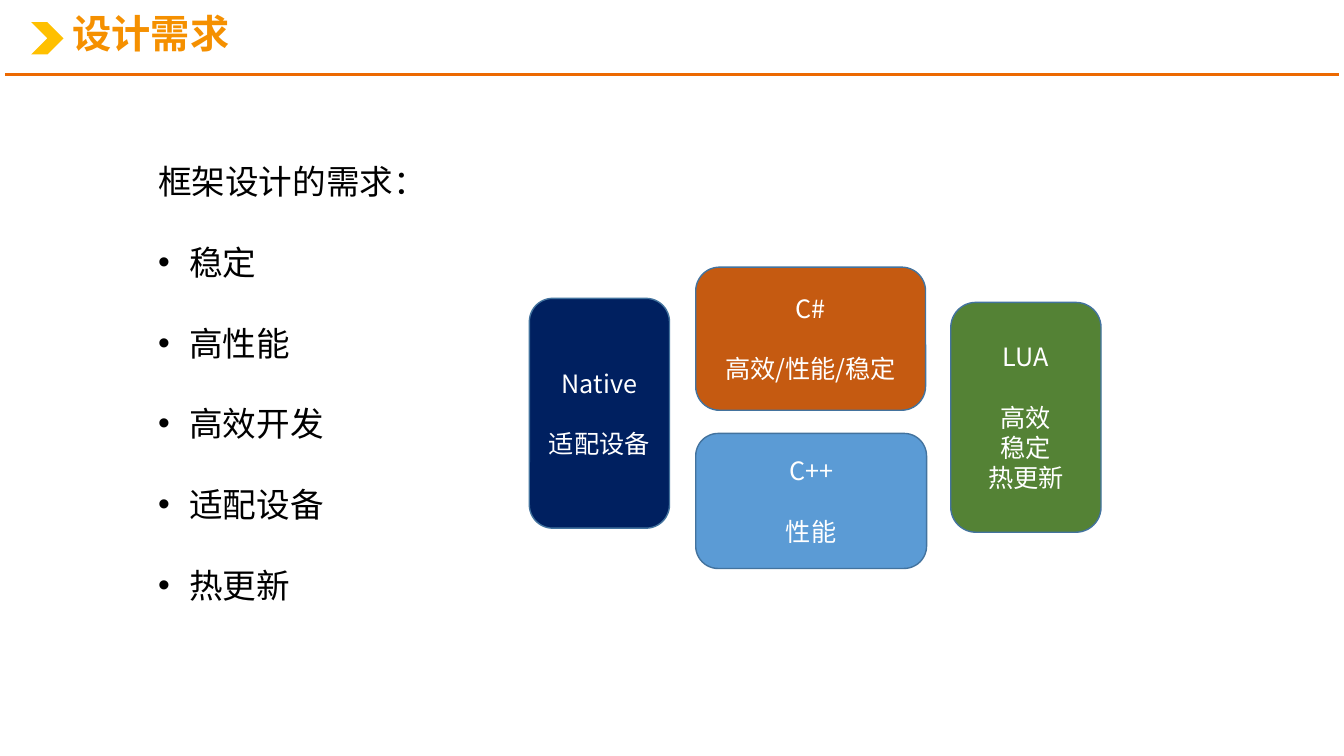
import pptx
import pptx.dml.color
import pptx.enum.shapes
import pptx.enum.text
import pptx.oxml
import pptx.oxml.ns
import pptx.util
from pptx.util import Inches

FONT = "Noto Sans CJK SC"
COLORS = {
    "title": "F59000", "rule": "EC6901", "chevron": "FFC000",
    "black": "000000", "white": "FFFFFF", "outline": "43739E",
    "orange": "C55A11", "blue": "5B9BD5", "navy": "002060", "green": "548235",
}


def color(name):
    return pptx.dml.color.RGBColor.from_string(COLORS[name])


def write(para, text, size, fill, bold=False, align=None, spacing=None, before=0):
    """Put one formatted span of text into a paragraph."""
    span = para.add_run()
    span.text = text
    span.font.size = pptx.util.Pt(size)
    span.font.bold = bold
    span.font.name = FONT
    span.font.color.rgb = color(fill)
    east_asian = pptx.oxml.parse_xml(
        f'<a:ea {pptx.oxml.ns.nsdecls("a")} typeface="{FONT}"/>')
    span.font._element.find(pptx.oxml.ns.qn("a:latin")).addnext(east_asian)
    para.alignment = align
    para.line_spacing = spacing
    para.space_before = pptx.util.Pt(before)


deck = pptx.Presentation()
deck.slide_width, deck.slide_height = Inches(13.33), Inches(7.5)
page = deck.slides.add_slide(deck.slide_layouts[5])

# Header: rule, chevron and title
rule = page.shapes.add_connector(
    pptx.enum.shapes.MSO_CONNECTOR.STRAIGHT,
    Inches(0.05), Inches(0.74), Inches(13.28), Inches(0.74))
rule.line.color.rgb = color("rule")
rule.line.width = pptx.util.Pt(2)
rule._element.spPr.append(
    pptx.oxml.parse_xml(f'<a:effectLst {pptx.oxml.ns.nsdecls("a")}/>'))

chevron = page.shapes.add_shape(
    pptx.enum.shapes.MSO_SHAPE.CHEVRON,
    Inches(0.31), Inches(0.22), Inches(0.32), Inches(0.32))
chevron.shadow.inherit = False
chevron.fill.solid()
chevron.fill.fore_color.rgb = color("chevron")
chevron.line.fill.background()

title = page.shapes.title
title.left, title.top = Inches(0.62), Inches(0.04)
title.width, title.height = Inches(5.61), Inches(0.63)
title.text_frame.vertical_anchor = pptx.enum.text.MSO_ANCHOR.MIDDLE
write(title.text_frame.paragraphs[0], "设计需求", 28, "title", bold=True,
      align=pptx.enum.text.PP_ALIGN.LEFT, spacing=0.9)

# Requirements list
box = page.shapes.add_textbox(Inches(1.47), Inches(1.15), Inches(3.07), Inches(4.95))
frame = box.text_frame
frame.word_wrap = True
write(frame.paragraphs[0], "框架设计的需求：", 24, "black", spacing=2.0)
for requirement in ["稳定", "高性能", "高效开发", "适配设备", "热更新"]:
    para = frame.add_paragraph()
    properties = para._element.get_or_add_pPr()
    properties.set("marL", str(Inches(0.31)))
    properties.set("indent", str(Inches(-0.31)))
    for bullet in ['buFont typeface="Arial"', 'buChar char="•"']:
        properties.append(pptx.oxml.parse_xml(
            f'<a:{bullet} {pptx.oxml.ns.nsdecls("a")}/>'))
    write(para, requirement, 24, "black", spacing=2.0)

# Technology blocks: left, top, width, height, fill, heading, qualities
blocks = [
    (6.9, 2.65, 2.28, 1.42, "orange", "C#", ["高效/性能/稳定"]),
    (6.9, 4.3, 2.29, 1.34, "blue", "C++", ["性能"]),
    (5.25, 2.96, 1.39, 2.28, "navy", "Native", ["适配设备"]),
    (9.43, 3, 1.49, 2.28, "green", "LUA", ["高效", "稳定", "热更新"]),
]
for left, top, width, height, fill, heading, qualities in blocks:
    block = page.shapes.add_shape(
        pptx.enum.shapes.MSO_SHAPE.ROUNDED_RECTANGLE,
        Inches(left), Inches(top), Inches(width), Inches(height))
    block.shadow.inherit = False
    block.fill.solid()
    block.fill.fore_color.rgb = color(fill)
    block.line.color.rgb = color("outline")
    block.line.width = pptx.util.Pt(1)
    frame = block.text_frame
    frame.word_wrap = True
    frame.vertical_anchor = pptx.enum.text.MSO_ANCHOR.MIDDLE
    center = pptx.enum.text.PP_ALIGN.CENTER
    write(frame.paragraphs[0], heading, 18, "white", align=center)
    for index, quality in enumerate(qualities):
        write(frame.add_paragraph(), quality, 18, "white", align=center,
              before=0 if index else 21.5)

deck.save("out.pptx")
